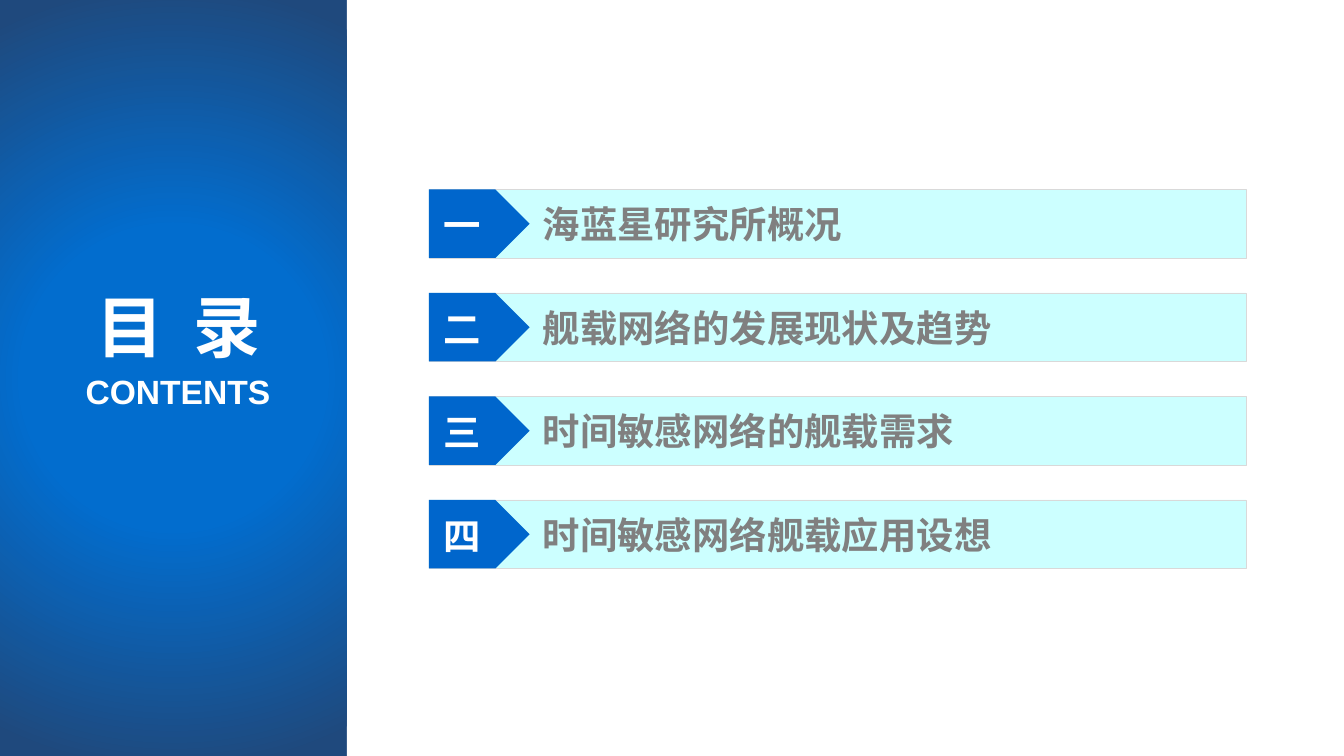
from lxml import etree
from pptx import Presentation
from pptx.dml.color import RGBColor
from pptx.enum.shapes import MSO_SHAPE
from pptx.enum.text import MSO_ANCHOR, MSO_AUTO_SIZE, PP_ALIGN
from pptx.oxml.ns import qn
from pptx.util import Inches, Pt

RECTANGLE = MSO_SHAPE.RECTANGLE
ARROW_TAG = MSO_SHAPE.PENTAGON
TOP, MIDDLE, BOTTOM = MSO_ANCHOR.TOP, MSO_ANCHOR.MIDDLE, MSO_ANCHOR.BOTTOM
LEFT, CENTER = PP_ALIGN.LEFT, PP_ALIGN.CENTER
GROW = MSO_AUTO_SIZE.SHAPE_TO_FIT_TEXT

WIDTH = 10
HEIGHT = WIDTH * 9 / 16
PANEL_WIDTH = 2.58
FIRST_ROW, ROW_STEP, ROW_HEIGHT = 1.41, 0.77, 0.51
CHAPTERS = [
    ("一", "海蓝星研究所概况"),
    ("二", "舰载网络的发展现状及趋势"),
    ("三", "时间敏感网络的舰载需求"),
    ("四", "时间敏感网络舰载应用设想"),
]


def color(value):
    return RGBColor.from_string(value)


def write(frame, text, size=20, font="Noto Sans CJK SC", ink="FFFFFF",
          align=CENTER, before=0, tracking=0):
    paragraph = frame.paragraphs[0]
    paragraph.alignment = align
    paragraph.space_before = Pt(before)
    run = paragraph.add_run()
    run.text = text
    run.font.size = Pt(size)
    run.font.bold = True
    run.font.name = font
    run.font.color.rgb = color(ink)
    properties = run.font._element
    etree.SubElement(properties, qn("a:ea"), typeface="Noto Sans CJK SC")
    if tracking:
        properties.set("spc", str(tracking * 100))


class ContentsSlide:
    navy, blue, bright = "1F497D", "0066CC", "026DCE"
    pale, border, grey, white = "CCFFFF", "D9D9D9", "808080", "FFFFFF"

    def __init__(self, deck):
        self.slide = deck.slides.add_slide(deck.slide_layouts[6])
        background = self.slide.background.fill
        background.solid()
        background.fore_color.rgb = color(self.white)

    def block(self, shapes, kind, box, fill, line=None):
        block = shapes.add_shape(kind, *map(Inches, box))
        block.shadow.inherit = False
        block.fill.solid()
        block.fill.fore_color.rgb = color(fill)
        if line:
            block.line.color.rgb = color(line)
            block.line.width = Pt(0.25)
        else:
            block.line.fill.background()
        return block

    def glow(self, box, rotation):
        glow = self.block(self.slide.shapes, RECTANGLE, box, self.navy)
        glow.rotation = rotation
        glow.fill.gradient()
        stops = glow.fill.gradient_stops
        for stop, position, shade in zip(stops, (0.36, 0.95), (self.bright, self.navy)):
            stop.position = position
            stop.color.rgb = color(shade)
        gradient = glow._element.spPr.find(qn("a:gradFill"))
        gradient.remove(gradient.find(qn("a:lin")))
        path = etree.SubElement(gradient, qn("a:path"), path="circle")
        etree.SubElement(path, qn("a:fillToRect"),
                         dict.fromkeys("ltrb", "50000"))

    def label(self, shapes, box, text, anchor=TOP, wrap=True, inset=False, **style):
        label = shapes.add_textbox(*map(Inches, box))
        frame = label.text_frame
        frame.word_wrap = wrap
        frame.auto_size = GROW
        frame.vertical_anchor = anchor
        if not inset:
            frame.margin_left = frame.margin_right = 0
            frame.margin_top = frame.margin_bottom = 0
        write(frame, text, **style)

    def chapter(self, top, number, title):
        row = self.slide.shapes.add_group_shape().shapes
        self.block(row, RECTANGLE, (3.19, top, 6.08, ROW_HEIGHT), self.pale, self.border)
        self.block(row, ARROW_TAG, (3.19, top, 0.75, ROW_HEIGHT), self.blue)
        self.label(row, (3.3, top + 0.09, 0.28, 0.34), number,
                   anchor=BOTTOM, wrap=False, before=4)
        self.label(row, (3.94, top + 0.04, 4.99, 0.44), title,
                   inset=True, ink=self.grey, align=LEFT, before=4)


def main():
    deck = Presentation()
    deck.slide_width, deck.slide_height = Inches(WIDTH), Inches(HEIGHT)
    contents = ContentsSlide(deck)
    shapes = contents.slide.shapes

    contents.block(shapes, RECTANGLE, (0, 0, PANEL_WIDTH, HEIGHT), contents.navy)
    offset = (HEIGHT - PANEL_WIDTH) / 2
    contents.glow((-offset, offset, HEIGHT, PANEL_WIDTH), 90)
    contents.label(shapes, (0, 2.12, 2.66, 0.61), "目 录",
                   anchor=MIDDLE, size=36, font="Arial", tracking=4)
    contents.label(shapes, (0.01, 2.76, 2.63, 0.3), "CONTENTS", size=18, font="Arial")

    for index, (number, title) in enumerate(CHAPTERS):
        contents.chapter(FIRST_ROW + index * ROW_STEP, number, title)

    deck.save("out.pptx")


if __name__ == "__main__":
    main()
